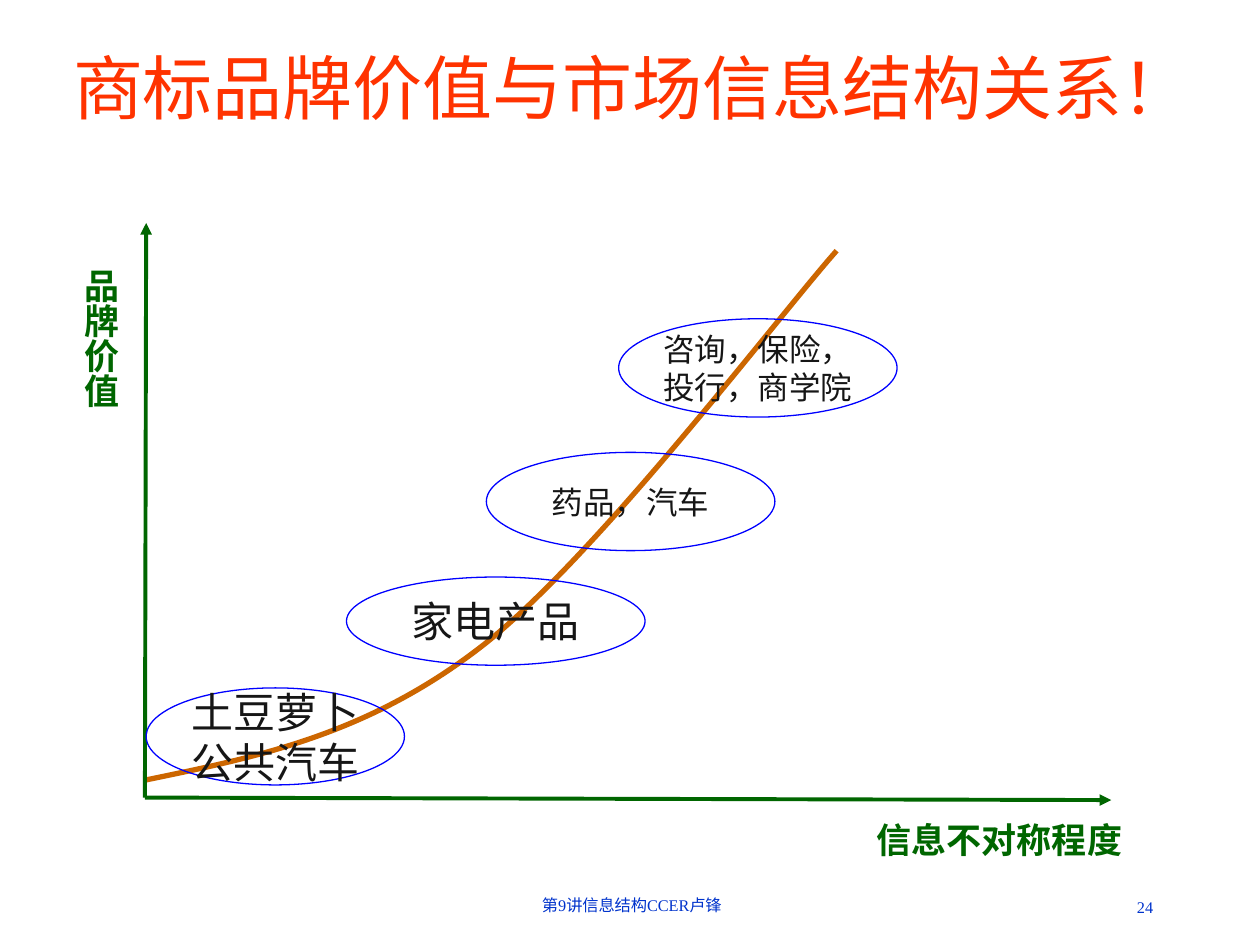
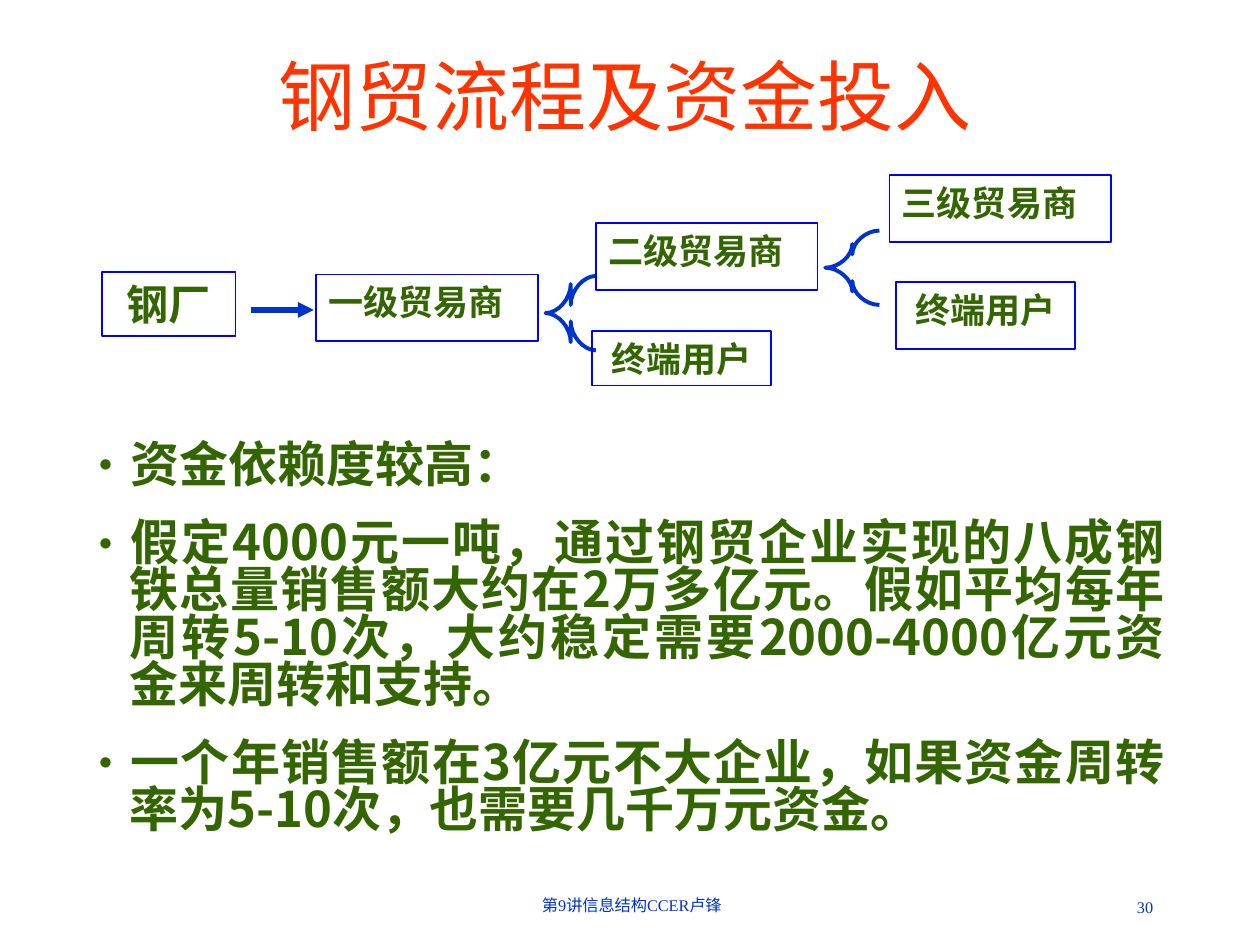
"""Two lecture slides: brand value against information asymmetry, and steel trade flow."""

from lxml.etree import SubElement
from pptx import Presentation
from pptx.dml.color import RGBColor
from pptx.enum.shapes import MSO_CONNECTOR, MSO_SHAPE
from pptx.enum.text import MSO_ANCHOR, MSO_AUTO_SIZE, PP_ALIGN
from pptx.oxml.ns import qn
from pptx.util import Inches, Pt

WHITE = RGBColor(0xFF, 0xFF, 0xFF)
RED = RGBColor(0xFF, 0x33, 0x00)
NAVY = RGBColor(0x00, 0x33, 0xCC)
BLUE = RGBColor(0x00, 0x00, 0xFF)
GREEN = RGBColor(0x00, 0x66, 0x00)
OLIVE = RGBColor(0x33, 0x66, 0x00)
ORANGE = RGBColor(0xCC, 0x66, 0x00)
INK = RGBColor(0x16, 0x16, 0x16)
SERIF, SANS, CJK = "Times New Roman", "Arial", "Noto Sans CJK SC"
FOOTER = "第9讲信息结构CCER卢锋"


def write_text(box, lines, font, size, color, bold=False, align=PP_ALIGN.LEFT,
               anchor=MSO_ANCHOR.TOP, wrap=True, bullet=None):
    frame = box.text_frame
    frame.word_wrap = wrap
    frame.vertical_anchor = anchor
    frame.text = "\n".join(lines)
    for index, paragraph in enumerate(frame.paragraphs):
        paragraph.alignment = align
        if bullet:
            paragraph.line_spacing = 0.8
            if index:
                paragraph.space_before = Pt(18)
            properties = paragraph._p.get_or_add_pPr()
            properties.set("marL", str(Inches(0.38)))
            properties.set("indent", str(-Inches(0.38)))
            SubElement(properties, qn("a:buFont"), typeface=font)
            SubElement(properties, qn("a:buChar"), char=bullet)
        paragraph.font.name = font
        paragraph.font.size = Pt(size)
        paragraph.font.bold = bold
        paragraph.font.color.rgb = color


def add_outline(page, kind, place, color, width, fill=None):
    shape = page.shapes.add_shape(kind, *map(Inches, place))
    shape.shadow.inherit = False
    shape.fill.background()
    if fill is not None:
        shape.fill.solid()
        shape.fill.fore_color.rgb = fill
    shape.line.color.rgb = color
    shape.line.width = Pt(width)
    return shape


deck = Presentation()
deck.slide_width, deck.slide_height = Inches(10), Inches(7.5)

titles = [
    ("商标品牌价值与市场信息结构关系！", 40, (0.44, 0.26, 9.16, 0.85), MSO_ANCHOR.MIDDLE, "24"),
    ("钢贸流程及资金投入", 44, (0.6, 0.33, 8.73, 0.84), MSO_ANCHOR.BOTTOM, "30"),
]
for title, size, place, anchor, number in titles:
    page = deck.slides.add_slide(deck.slide_layouts[6])
    box = page.shapes.add_textbox(*map(Inches, (3.43, 7.06, 3.17, 0.26)))
    write_text(box, [FOOTER], SERIF, 9.3, NAVY, align=PP_ALIGN.CENTER)
    box = page.shapes.add_textbox(*map(Inches, (7.17, 7.07, 2.08, 0.26)))
    write_text(box, [number], SERIF, 9.3, NAVY, align=PP_ALIGN.RIGHT)
    box = page.shapes.add_textbox(*map(Inches, place))
    write_text(box, [title], SERIF, size, RED, align=PP_ALIGN.CENTER, anchor=anchor)
brand_page, steel_page = deck.slides

value_curve = [
    [(1.16, 6.19), (2.03, 6.01), (2.9, 5.84), (3.81, 5.14)],
    [(3.81, 5.14), (4.72, 4.44), (6.17, 2.52), (6.64, 1.99)],
]
curves = [(brand_page, value_curve, ORANGE, 3)]
for left, top, width, height, reach in [(4.33, 2.19, 0.4, 0.59, 0.39), (6.55, 1.83, 0.43, 0.59, 0.32)]:
    upper = [
        [(1, 0), (0.75, 0), (0.5, reach / 2), (0.5, reach)],
        [(0.5, 0.5 - reach), (0.5, 0.5 - reach / 2), (0.25, 0.5), (0, 0.5)],
    ]
    lower = [[(x, 1 - y) for x, y in reversed(arc)] for arc in reversed(upper)]
    brace = [[(left + x * width, top + y * height) for x, y in arc] for arc in upper + lower]
    curves.append((steel_page, brace, NAVY, 2.25))

for page, arcs, color, width in curves:
    pieces = []
    pen = arcs[0][0]
    for arc in arcs:
        if arc[0] != pen:
            pieces.append(arc[:1])
        pieces.append(arc[1:])
        pen = arc[-1]
    builder = page.shapes.build_freeform(*map(Inches, arcs[0][0]))
    builder.add_line_segments([tuple(map(Inches, point)) for piece in pieces for point in piece],
                              close=False)
    curve = builder.convert_to_shape()
    outline = curve._element.find(".//" + qn("a:path"))
    strokes = iter(outline.findall(qn("a:lnTo")))
    for piece in pieces:
        group = [next(strokes) for point in piece]
        if len(group) == 1:
            outline.append(group[0])
            continue
        bezier = SubElement(outline, qn("a:cubicBezTo"))
        for stroke in group:
            bezier.append(stroke[0])
            outline.remove(stroke)
    curve.shadow.inherit = False
    curve.fill.background()
    curve.line.color.rgb = color
    curve.line.width = Pt(width)

arrows = [
    (brand_page, (1.15, 6.33, 1.16, 1.77), GREEN, 2.25),
    (brand_page, (1.15, 6.33, 8.82, 6.35), GREEN, 2.25),
    (steel_page, (1.99, 2.46, 2.49, 2.46), NAVY, 3),
]
for page, ends, color, width in arrows:
    arrow = page.shapes.add_connector(MSO_CONNECTOR.STRAIGHT, *map(Inches, ends))
    arrow.line.color.rgb = color
    arrow.line.width = Pt(width)
    SubElement(arrow.line._get_or_add_ln(), qn("a:tailEnd"), type="triangle")
    SubElement(arrow._element.spPr, qn("a:effectLst"))

axis_names = [
    ("信息不对称程度", (6.86, 6.45, 2.15, 0.44), "horz", 0.1, 0.05),
    ("品牌价值", (0.49, 2.03, 0.53, 1.22), "eaVert", 0.05, 0.1),
]
for name, place, direction, side, end in axis_names:
    label = add_outline(brand_page, MSO_SHAPE.RECTANGLE, place, WHITE, 0.75, fill=WHITE)
    write_text(label, [name], SANS, 20, GREEN, bold=True, wrap=False)
    frame = label.text_frame
    frame.auto_size = MSO_AUTO_SIZE.SHAPE_TO_FIT_TEXT
    frame.margin_left = frame.margin_right = Inches(side)
    frame.margin_top = frame.margin_bottom = Inches(end)
    frame._txBody.bodyPr.set("vert", direction)

goods = [
    (["土豆萝卜", "公共汽车"], 24, (1.16, 5.46, 2.05, 0.77)),
    (["家电产品"], 24, (2.75, 4.58, 2.37, 0.7)),
    (["咨询，保险，", "投行，商学院"], 18, (4.91, 2.53, 2.21, 0.78)),
    (["药品，汽车"], 18, (3.86, 3.59, 2.29, 0.78)),
]
for lines, size, place in goods:
    oval = add_outline(brand_page, MSO_SHAPE.OVAL, place, BLUE, 0.75)
    write_text(oval, lines, SANS, size, INK, align=PP_ALIGN.CENTER,
               anchor=MSO_ANCHOR.MIDDLE, wrap=False)

traders = [
    ("一级贸易商", 20, (2.51, 2.18, 1.76, 0.53), PP_ALIGN.LEFT),
    ("钢厂", 24, (0.81, 2.16, 1.06, 0.51), PP_ALIGN.CENTER),
    ("二级贸易商", 20, (4.73, 1.77, 1.76, 0.53), PP_ALIGN.LEFT),
    ("终端用户", 20, (4.7, 2.63, 1.42, 0.43), PP_ALIGN.CENTER),
    ("三级贸易商", 20, (7.06, 1.39, 1.76, 0.53), PP_ALIGN.LEFT),
    ("终端用户", 20, (7.11, 2.24, 1.42, 0.53), PP_ALIGN.CENTER),
]
for name, size, place, align in traders:
    trader = add_outline(steel_page, MSO_SHAPE.RECTANGLE, place, BLUE, 1)
    write_text(trader, [name], CJK, size, OLIVE, bold=True, align=align)

funding = [
    "资金依赖度较高：",
    "假定4000元一吨，通过钢贸企业实现的八成钢铁总量销售额大约在2万多亿元。"
    "假如平均每年周转5-10次，大约稳定需要2000-4000亿元资金来周转和支持。",
    "一个年销售额在3亿元不大企业，如果资金周转率为5-10次，也需要几千万元资金。",
]
box = steel_page.shapes.add_textbox(*map(Inches, (0.55, 3.48, 8.79, 3.37)))
write_text(box, funding, CJK, 28, OLIVE, bold=True, align=PP_ALIGN.JUSTIFY, bullet="•")

deck.save("out.pptx")
